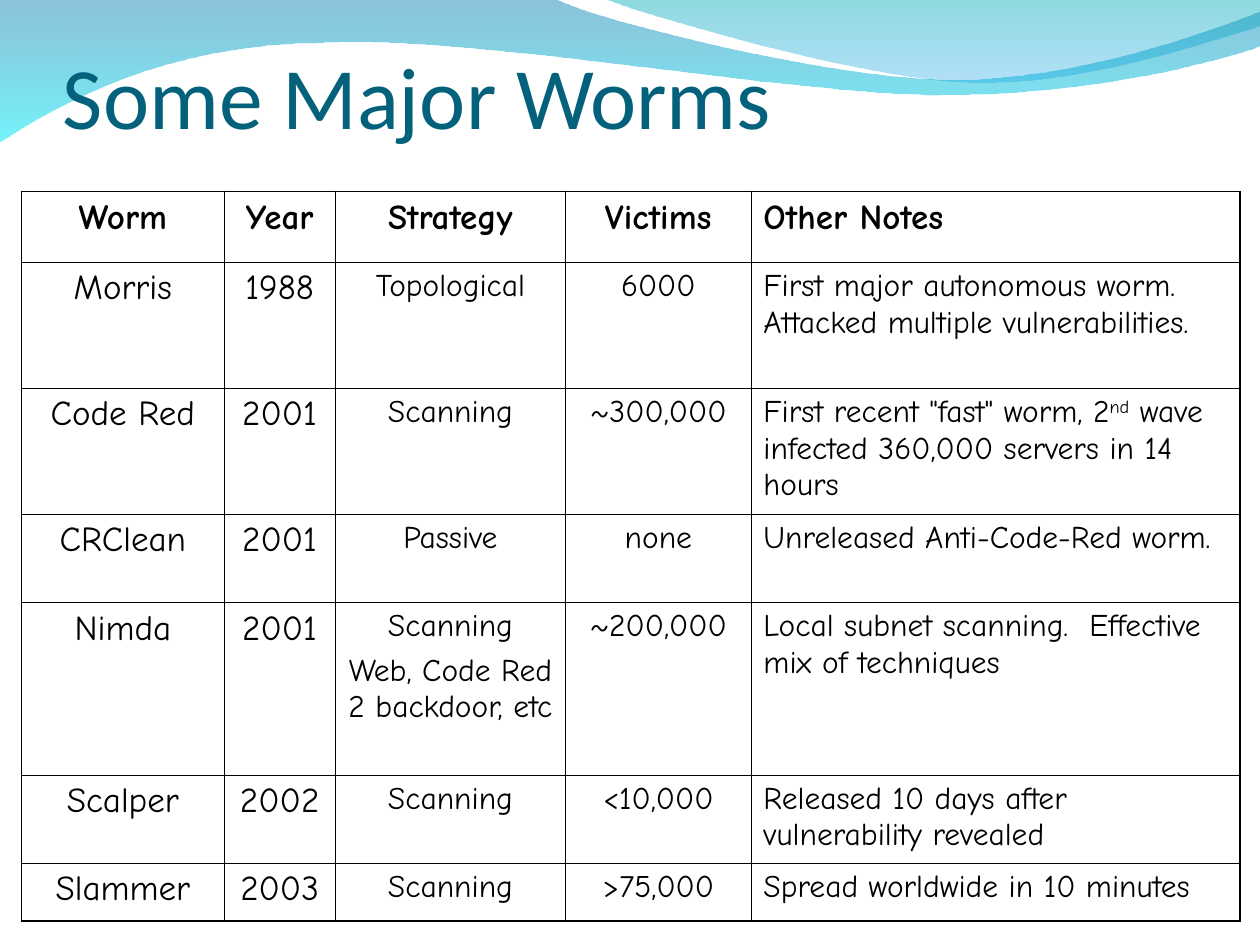
from lxml.etree import SubElement
from pptx import Presentation
from pptx.dml.color import RGBColor
from pptx.enum.text import MSO_ANCHOR, PP_ALIGN
from pptx.oxml import parse_xml
from pptx.oxml.ns import nsdecls, qn
from pptx.util import Inches, Pt

WHITE = RGBColor(0xFF, 0xFF, 0xFF)
BLACK = RGBColor(0, 0, 0)
TITLE_TEAL = RGBColor(0x04, 0x61, 0x7B)
DEEP_BLUE = RGBColor(0x00, 0x79, 0xAF)
CYAN = RGBColor(0x00, 0xEB, 0xF8)
SEA_GREEN = RGBColor(0x00, 0xAD, 0xB6)
SKY_BLUE = RGBColor(0x00, 0x9B, 0xE5)

TITLE_FONT, TABLE_FONT = "Calibri", "Comic Neue"
OUTER_LINE, INNER_LINE = Pt(1.08), Pt(0.45)
COLUMN_WIDTHS = [1.61, 0.88, 1.83, 1.47, 3.88]
ROW_HEIGHTS = [0.56, 1, 1, 0.7, 1.37, 0.7, 0.46]
NOTES_COLUMN = 4

# A line break starts a new paragraph; text between carets is raised.
WORMS = [
    ["Worm", "Year", "Strategy", "Victims", "Other Notes"],
    ["Morris", "1988", "Topological", "6000",
     "First major autonomous worm.  Attacked multiple vulnerabilities."],
    ["Code Red", "2001", "Scanning", "~300,000",
     'First recent "fast" worm, 2^nd^ wave infected 360,000 servers in 14 hours'],
    ["CRClean", "2001", "Passive", "none", "Unreleased Anti-Code-Red worm."],
    ["Nimda", "2001", "Scanning\nWeb, Code Red 2 backdoor, etc", "~200,000",
     "Local subnet scanning.  Effective mix of techniques"],
    ["Scalper", "2002", "Scanning", "<10,000",
     "Released 10 days after vulnerability revealed"],
    ["Slammer", "2003", "Scanning", ">75,000", "Spread worldwide in 10 minutes"],
]

# Points are hundredths of an inch. Each wave is a start point and its
# segments: one point is a line, three are a Bezier curve.
UNIT = Inches(0.01)
LONG_WAVE = [(0, -1), [
    [(440, -1)],
    [(476, 17), (664, 63), (758, 63)],
    [(853, 63), (958, 26), (1000, 9)],
    [(1001, 36)],
    [(983, 44), (870, 76), (746, 75)],
    [(622, 75), (382, 28), (257, 34)],
    [(129, 35), (46, 83), (-1, 113)],
]]
SHORT_WAVE = [(479, -1), [
    [(509, 11), (682, 62), (769, 65)],
    [(856, 69), (961, 32), (1000, 21)],
    [(1000, 0)],
]]


def bend_segments(wave, start, segments):
    """Turn the straight segments that have control points into curves."""
    corners = [start] + [segment[-1] for segment in segments]
    left, top = (min(axis) for axis in zip(*corners))
    lines = list(wave.element.spPr.iter(qn("a:lnTo")))
    for line, segment in zip(lines, segments):
        if len(segment) == 1:
            continue
        points = "".join(f'<a:pt x="{x - left}" y="{y - top}"/>' for x, y in segment)
        line.getparent().replace(line, parse_xml(
            f'<a:cubicBezTo {nsdecls("a")}>{points}</a:cubicBezTo>'))


def add_wave(slide, outline, stops):
    """Draw a closed wave; stops are (colour, opacity percent) from top to bottom."""
    start, segments = outline
    builder = slide.shapes.build_freeform(*start, scale=UNIT)
    builder.add_line_segments([segment[-1] for segment in segments], close=True)
    wave = builder.convert_to_shape()
    bend_segments(wave, start, segments)
    wave.shadow.inherit = False
    wave.line.fill.background()
    wave.fill.gradient()
    wave.fill.gradient_angle = 270
    for stop, (colour, _) in zip(wave.fill.gradient_stops, stops):
        stop.color.rgb = colour
    colour_elements = wave.element.spPr.iter(qn("a:srgbClr"))
    for element, (_, opacity) in zip(colour_elements, stops):
        SubElement(element, qn("a:alpha")).set("val", str(opacity * 1000))


def style_font(font, name, size, colour, bold=False):
    font.name, font.size, font.bold = name, Pt(size), bold
    font.color.rgb = colour


def add_title(slide, text):
    box = slide.shapes.add_textbox(Inches(0.5), Inches(0.77), Inches(9), Inches(0.4))
    frame = box.text_frame
    frame.word_wrap = True
    frame.vertical_anchor = MSO_ANCHOR.BOTTOM
    frame.margin_left = frame.margin_right = frame.margin_bottom = 0
    frame.text = text
    style_font(frame.paragraphs[0].runs[0].font, TITLE_FONT, 50, TITLE_TEAL)


def set_borders(cell, row, column):
    outer_sides = {"L": column == 0, "R": column == len(COLUMN_WIDTHS) - 1,
                   "T": row == 0, "B": row == len(ROW_HEIGHTS) - 1}
    properties = cell._tc.get_or_add_tcPr()
    for index, (side, is_outer) in enumerate(outer_sides.items()):
        width = OUTER_LINE if is_outer else INNER_LINE
        properties.insert(index, parse_xml(
            f'<a:ln{side} {nsdecls("a")} w="{width}"><a:solidFill>'
            f'<a:srgbClr val="{BLACK}"/></a:solidFill></a:ln{side}>'))


def fill_cell(cell, text, row, column):
    is_header = row == 0
    size = 20 if is_header or column < 2 else 18
    cell.fill.background()
    set_borders(cell, row, column)
    cell.margin_left = cell.margin_right = Inches(0.1)
    cell.margin_top = cell.margin_bottom = Inches(0.05)
    frame = cell.text_frame
    for number, line in enumerate(text.split("\n")):
        paragraph = frame.add_paragraph() if number else frame.paragraphs[0]
        if number:
            paragraph.space_before = Pt(4.5)
        paragraph.alignment = PP_ALIGN.LEFT if column == NOTES_COLUMN else PP_ALIGN.CENTER
        for index, piece in enumerate(line.split("^")):
            run = paragraph.add_run()
            run.text = piece
            style_font(run.font, TABLE_FONT, size, BLACK, is_header)
            if index % 2:
                run.font._element.set("baseline", "30000")


def add_worm_table(slide):
    table = slide.shapes.add_table(
        len(ROW_HEIGHTS), len(COLUMN_WIDTHS), Inches(0.17), Inches(1.52),
        Inches(sum(COLUMN_WIDTHS)), Inches(sum(ROW_HEIGHTS))).table
    table.first_row = table.horz_banding = False
    for column, width in zip(table.columns, COLUMN_WIDTHS):
        column.width = Inches(width)
    for row, height in zip(table.rows, ROW_HEIGHTS):
        row.height = Inches(height)
    for row, texts in enumerate(WORMS):
        for column, text in enumerate(texts):
            fill_cell(table.cell(row, column), text, row, column)


def main():
    deck = Presentation()
    deck.slide_width, deck.slide_height = Inches(10), Inches(7.5)
    slide = deck.slides.add_slide(deck.slide_layouts[6])
    slide.background.fill.solid()
    slide.background.fill.fore_color.rgb = WHITE
    add_wave(slide, LONG_WAVE, [(DEEP_BLUE, 45), (CYAN, 55)])
    add_wave(slide, SHORT_WAVE, [(SEA_GREEN, 45), (SKY_BLUE, 30)])
    add_title(slide, "Some Major Worms")
    add_worm_table(slide)
    deck.save("out.pptx")


if __name__ == "__main__":
    main()
